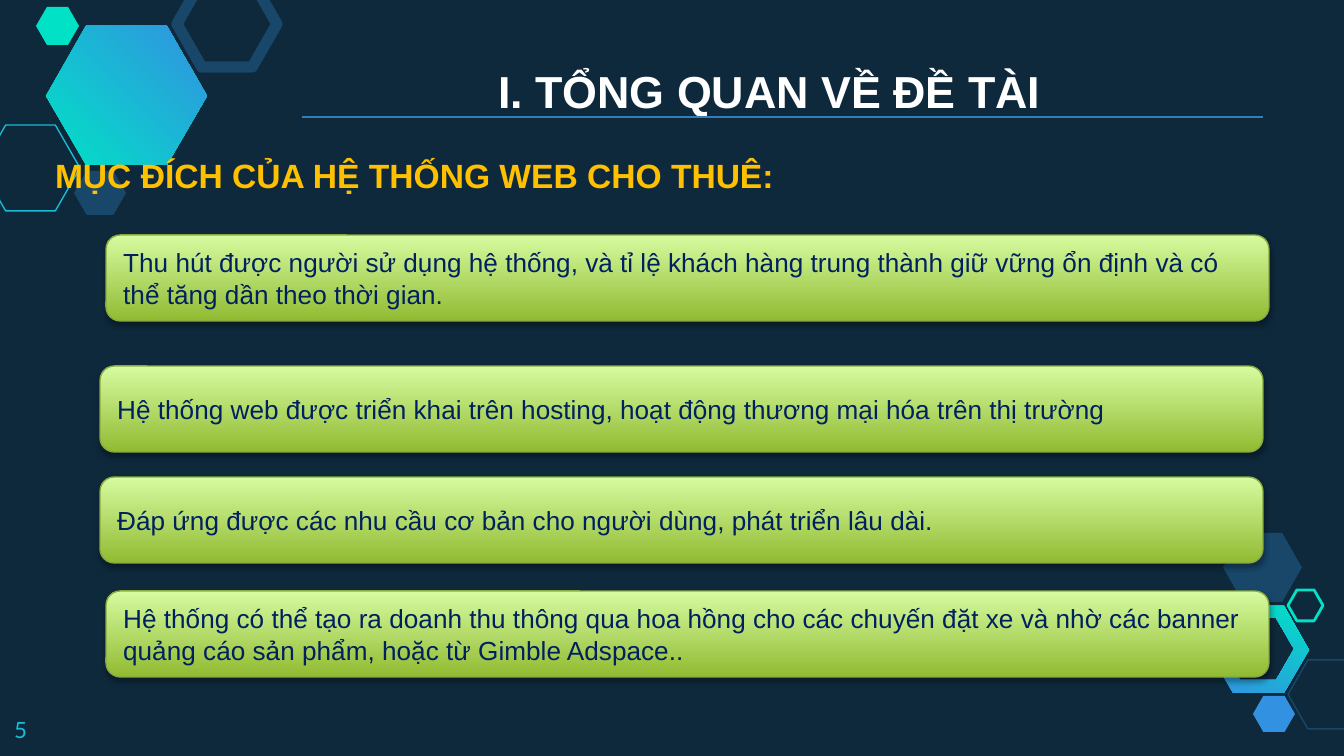
from dataclasses import dataclass

from lxml.etree import SubElement
from pptx import Presentation
from pptx.dml.color import RGBColor
from pptx.enum.shapes import MSO_CONNECTOR as Link, MSO_SHAPE as Kind
from pptx.enum.text import MSO_ANCHOR as Anchor, MSO_AUTO_SIZE as Fit, PP_ALIGN as Align
from pptx.oxml.ns import qn
from pptx.util import Pt

PX = 914400 / 134.4


@dataclass(frozen=True)
class Theme:
    back: str = "0E293C"
    white: str = "FFFFFF"
    gold: str = "FFC000"
    ink: str = "002060"
    rule: str = "347EB8"
    cyan: str = "19BBD5"
    navy: str = "184769"
    mint: str = "00E1C6"
    blue: str = "3292E1"
    leaf: str = "91BB32"
    lime: str = "D6FBA0"
    edge: str = "89AA3E"
    sans: str = "Arial"
    digit: str = "Lato"
    big: int = 24
    mid: int = 18
    body: int = 14
    small: int = 12


T = Theme()

HEXES = [  # box, fill, line, line width
    ((-19, 125, 99, 86), None, T.cyan, 0.75),
    ((74, 171, 52, 44), T.navy, None, 0),
    ((177, -19, 100, 86), None, T.navy, 6),
    ((36, 7, 43, 38), T.mint, None, 0),
    ((1288, 660, 79, 69), None, T.navy, 0.75),
    ((1253, 696, 42, 36), T.blue, None, 0),
    ((1223, 533, 79, 69), T.navy, None, 0),
    ((1288, 590, 35, 31), None, T.mint, 1.5),
]
CARDS = [  # left, top, text
    (106, 235, "Thu hút được người sử dụng hệ thống, và tỉ lệ khách hàng trung thành "
               "giữ vững ổn định và có thể tăng dần theo thời gian."),
    (100, 366, "Hệ thống web được triển khai trên hosting, hoạt động thương mại hóa "
               "trên thị trường"),
    (100, 477, "Đáp ứng được các nhu cầu cơ bản cho người dùng, phát triển lâu dài."),
    (106, 591, "Hệ thống có thể tạo ra doanh thu thông qua hoa hồng cho các chuyến "
               "đặt xe và nhờ các banner quảng cáo sản phẩm, hoặc từ Gimble Adspace.."),
]


def emu(*vals):
    return [round(v * PX) for v in vals]


def rgb(code):
    return RGBColor.from_string(code)


def apply(item, form):
    for name, val in form.items():
        setattr(item, name, val)


def paint(shape, fill=None, line=None, width=0.75):
    """Set solid or empty fill and line, without shadow."""
    shape.shadow.inherit = False
    for part, code in ((shape.fill, fill), (shape.line.fill, line)):
        if code:
            part.solid()
            part.fore_color.rgb = rgb(code)
        else:
            part.background()
    if line:
        shape.line.width = Pt(width)


def blend(shape, start, end, angle):
    """Fill with a linear gradient; the angle runs counterclockwise."""
    shape.fill.gradient()
    shape.fill.gradient_angle = angle
    for stop, code in zip(shape.fill.gradient_stops, (start, end)):
        stop.color.rgb = rgb(code)


def write(shape, text, size, color, font=T.sans, bold=False, inset=7, para=None, **frame):
    body = shape.text_frame
    body.text = text
    apply(body, {"word_wrap": True, "auto_size": Fit.NONE,
                 "vertical_anchor": Anchor.TOP, "margin_left": emu(13)[0],
                 "margin_right": emu(13)[0], "margin_top": emu(inset)[0],
                 "margin_bottom": emu(inset)[0], **frame})
    line = body.paragraphs[0]
    apply(line, {"alignment": Align.LEFT, **(para or {})})
    face = line.runs[0].font
    apply(face, {"size": Pt(size), "name": font, "bold": bold})
    face.color.rgb = rgb(color)


def ring(slide, *boxes):
    """Draw nested hexagon outlines as one freeform."""
    pen = None
    for x, y, w, h in boxes:
        cut = w / 4
        pts = [(x, y + h / 2), (x + cut, y), (x + w - cut, y),
               (x + w, y + h / 2), (x + w - cut, y + h), (x + cut, y + h)]
        if pen is None:
            pen = slide.shapes.build_freeform(*pts[0], scale=PX)
        else:
            pen.move_to(*pts[0])
        pen.add_line_segments(pts[1:], close=True)
    shape = pen.convert_to_shape()
    paint(shape)
    return shape


def decor(slide):
    band = ring(slide, (1208, 606, 101, 87), (1222, 618, 72, 62))
    blend(band, T.blue, T.mint, 64)
    blend(ring(slide, (46, 26, 161, 139)), T.mint, T.blue, 45)
    for box, fill, line, width in HEXES:
        cell = slide.shapes.add_shape(Kind.HEXAGON, *emu(*box))
        cell.adjustments[0] = 0.287
        paint(cell, fill, line, width)


def header(slide, x, y, w, h):
    title = slide.shapes.title
    apply(title, dict(zip(("left", "top", "width", "height"),
                          emu(x + 183, y, 595, h))))
    write(title, "I. TỔNG QUAN VỀ ĐỀ TÀI", T.big, T.white, bold=True,
          para={"line_spacing": 2.0})
    base = y + h + 8
    rule = slide.shapes.add_connector(Link.STRAIGHT, *emu(x, base, x + w, base))
    rule.line.color.rgb = rgb(T.rule)
    rule.line.width = Pt(1.5)
    SubElement(rule._element.spPr, qn("a:effectLst"))


def label(slide, box, text, *form, **more):
    write(slide.shapes.add_textbox(*emu(*box)), text, *form, inset=13, **more)


def card(slide, x, y, w, h, text):
    shape = slide.shapes.add_shape(Kind.ROUNDED_RECTANGLE, *emu(x, y, w, h))
    paint(shape, line=T.edge)
    blend(shape, T.leaf, T.lime, 90)
    glow = shape._element.spPr.find(qn("a:effectLst"))
    drop = SubElement(glow, qn("a:outerShdw"), blurRad=str(Pt(3.1)),
                      dist=str(Pt(1.8)), dir="5400000", rotWithShape="0")
    tone = SubElement(drop, qn("a:srgbClr"), val="000000")
    SubElement(tone, qn("a:alpha"), val="35000")
    write(shape, text, T.body, T.ink, vertical_anchor=Anchor.MIDDLE)


def main():
    deck = Presentation()
    deck.slide_width, deck.slide_height = emu(1344, 756)
    slide = deck.slides.add_slide(deck.slide_layouts[5])
    slide.background.fill.solid()
    slide.background.fill.fore_color.rgb = rgb(T.back)
    decor(slide)
    label(slide, (42, 142, 758, 83), "MỤC ĐÍCH CỦA HỆ THỐNG WEB CHO THUÊ:",
          T.mid, T.gold, bold=True,
          para={"alignment": Align.JUSTIFY, "space_before": Pt(6)})
    label(slide, (1, 703, 81, 52), "5", T.small, T.cyan, T.digit)
    header(slide, 302, 3, 961, 106)
    for x, y, text in CARDS:
        card(slide, x, y, 1163, 86, text)
    deck.save("out.pptx")


if __name__ == "__main__":
    main()
